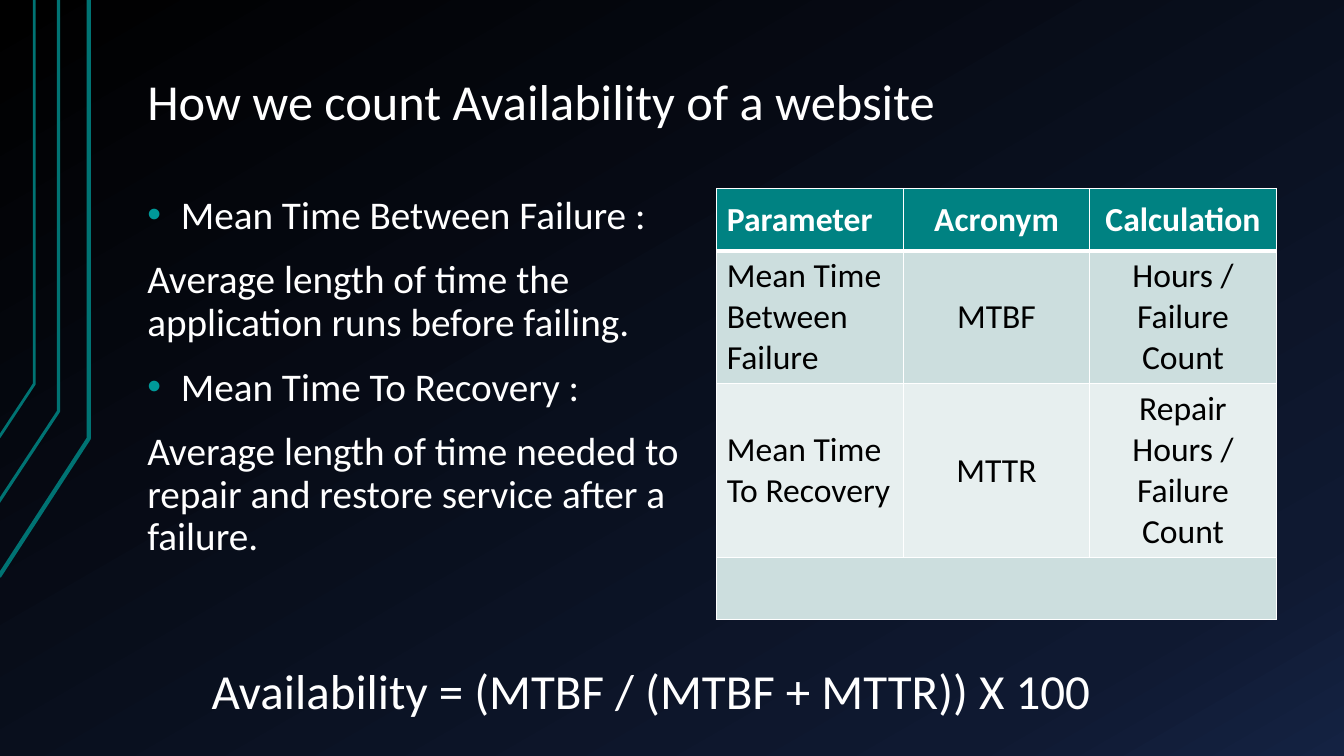
from pptx import Presentation
from pptx import util as u
from pptx.dml.color import RGBColor
from pptx.enum import text
from pptx.oxml import parse_xml
from pptx.oxml.ns import nsdecls

Pt = u.Pt
FONT = "Calibri"
COLORS = {
    "text": "FFFFFF", "ink": "000000", "bullet": "009999", "rail": "007373",
    "head": "008282", "band": "CCDEDE", "plain": "E7EFEF", "border": "FFFFFF",
}
BACKDROP = [(0, "000000"), (85, "0F1931"), (100, "142242")]
BACKDROP_ANGLE = 60
RAILS = [
    (3, [(-0.7, 411.8), (63.4, 313.2), (63.4, 0)]),
    (2.25, [(-1.4, 359.3), (41.8, 293.8), (41.8, 0)]),
    (2, [(-0.7, 312.5), (24.5, 274.3), (24.5, 0)]),
]
TITLE = "How we count Availability of a website"
DEFINITIONS = [
    ("Mean Time Between Failure :",
     "Average length of time the application runs before failing."),
    ("Mean Time To Recovery :",
     "Average length of time needed to repair and restore service after a failure."),
]
FORMULA = "Availability = (MTBF / (MTBF + MTTR)) X 100"
ROWS = [
    ("Parameter", "Acronym", "Calculation"),
    ("Mean Time Between Failure", "MTBF", "Hours / Failure Count"),
    ("Mean Time To Recovery", "MTTR", "Repair Hours / Failure Count"),
    ("", "", ""),
]
ROW_HEIGHTS = [44.6, 95, 124, 44.6]
ROW_FILLS = ["head", "band", "plain", "band"]
TABLE_LEFT, TABLE_TOP, COLUMN_WIDTH = 512, 134.6, 133.2
INSETS = (9.4, 5)


def color(name):
    return RGBColor.from_string(COLORS[name])


def apply(target, **values):
    for name, value in values.items():
        setattr(target, name, value)


def write(para, words, size, tone="text", bold=False):
    span = para.add_run()
    span.text = words
    apply(span.font, size=Pt(size), name=FONT, bold=bold)
    span.font.color.rgb = color(tone)


def add_box(page, bounds, insets, anchor=text.MSO_ANCHOR.TOP):
    frame = page.shapes.add_textbox(*map(Pt, bounds)).text_frame
    side, edge = map(Pt, insets)
    apply(frame, word_wrap=True, vertical_anchor=anchor, margin_left=side,
          margin_right=side, margin_top=edge, margin_bottom=edge)
    return frame


def paint_backdrop(page):
    page.background.fill.gradient()
    stops = "".join(f'<a:gs pos="{place * 1000}"><a:srgbClr val="{tone}"/></a:gs>'
                    for place, tone in BACKDROP)
    gradient = parse_xml(
        f'<a:gradFill {nsdecls("a")} rotWithShape="1"><a:gsLst>{stops}</a:gsLst>'
        f'<a:lin ang="{BACKDROP_ANGLE * 60000}" scaled="0"/></a:gradFill>')
    old = page.element.xpath(".//p:bgPr/a:gradFill")[0]
    old.getparent().replace(old, gradient)


def draw_rails(page):
    for width, points in RAILS:
        start, *rest = [(Pt(x), Pt(y)) for x, y in points]
        builder = page.shapes.build_freeform(*start)
        builder.add_line_segments(rest, close=False)
        rail = builder.convert_to_shape()
        rail.shadow.inherit = False
        rail.fill.background()
        rail.line.color.rgb = color("rail")
        rail.line.width = Pt(width)


def add_bullet(para):
    properties = para._p.get_or_add_pPr()
    properties.set("marL", str(Pt(24)))
    properties.set("indent", str(Pt(-24)))
    for part in (f'<a:buClr {nsdecls("a")}><a:srgbClr val="{COLORS["bullet"]}"/></a:buClr>',
                 f'<a:buFont {nsdecls("a")} typeface="Arial"/>',
                 f'<a:buChar {nsdecls("a")} char="•"/>'):
        properties.append(parse_xml(part))


def write_definitions(page):
    frame = add_box(page, (95.8, 134.6, 399.6, 304.6), INSETS)
    lines = [(words, level == 0) for pair in DEFINITIONS for level, words in enumerate(pair)]
    for index, (words, bulleted) in enumerate(lines):
        para = frame.add_paragraph() if index else frame.paragraphs[0]
        apply(para, line_spacing=0.9, space_before=Pt(16))
        if bulleted:
            add_bullet(para)
        write(para, words, 28)


def border_cell(cell, row):
    widths = {"L": 1, "R": 1, "T": 3 if row == 1 else 1, "B": 3 if row == 0 else 1}
    properties = cell._tc.get_or_add_tcPr()
    for index, (side, width) in enumerate(widths.items()):
        properties.insert(index, parse_xml(
            f'<a:ln{side} {nsdecls("a")} w="{Pt(width)}"><a:solidFill>'
            f'<a:srgbClr val="{COLORS["border"]}"/></a:solidFill></a:ln{side}>'))


def draw_table(page):
    columns = len(ROWS[0])
    table = page.shapes.add_table(
        len(ROWS), columns, Pt(TABLE_LEFT), Pt(TABLE_TOP),
        Pt(COLUMN_WIDTH * columns), Pt(sum(ROW_HEIGHTS))).table
    apply(table, first_row=False, horz_banding=False)
    for row, words in enumerate(ROWS):
        table.rows[row].height = Pt(ROW_HEIGHTS[row])
        for column, label in enumerate(words):
            cell = table.cell(row, column)
            cell.vertical_anchor = text.MSO_ANCHOR.MIDDLE
            cell.fill.solid()
            cell.fill.fore_color.rgb = color(ROW_FILLS[row])
            border_cell(cell, row)
            if label:
                para = cell.text_frame.paragraphs[0]
                para.alignment = text.PP_ALIGN.CENTER if column else text.PP_ALIGN.LEFT
                write(para, label, 24, "ink" if row else "text", row == 0)
    last = len(ROWS) - 1
    table.cell(last, 0).merge(table.cell(last, columns - 1))


def main():
    deck = Presentation()
    apply(deck, slide_width=Pt(960), slide_height=Pt(540))
    page = deck.slides.add_slide(deck.slide_layouts[6])
    paint_backdrop(page)
    draw_rails(page)
    heading = add_box(page, (95.8, 2.2, 815.8, 96.5), INSETS,
                      text.MSO_ANCHOR.BOTTOM).paragraphs[0]
    heading.line_spacing = 0.9
    write(heading, TITLE, 36)
    write_definitions(page)
    draw_table(page)
    formula = add_box(page, (144, 468, 774, 49.7), (7.2, 3.6))
    write(formula.paragraphs[0], FORMULA, 35)
    deck.save("out.pptx")


if __name__ == "__main__":
    main()
